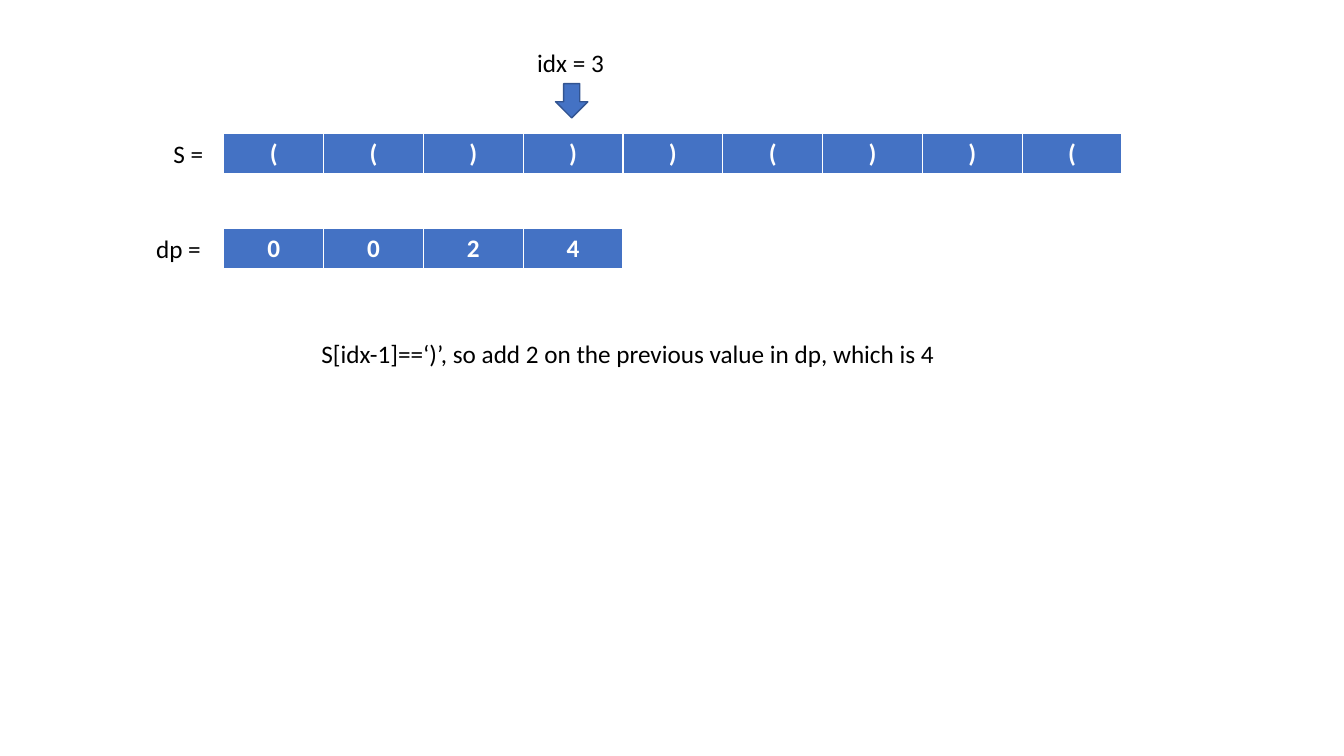
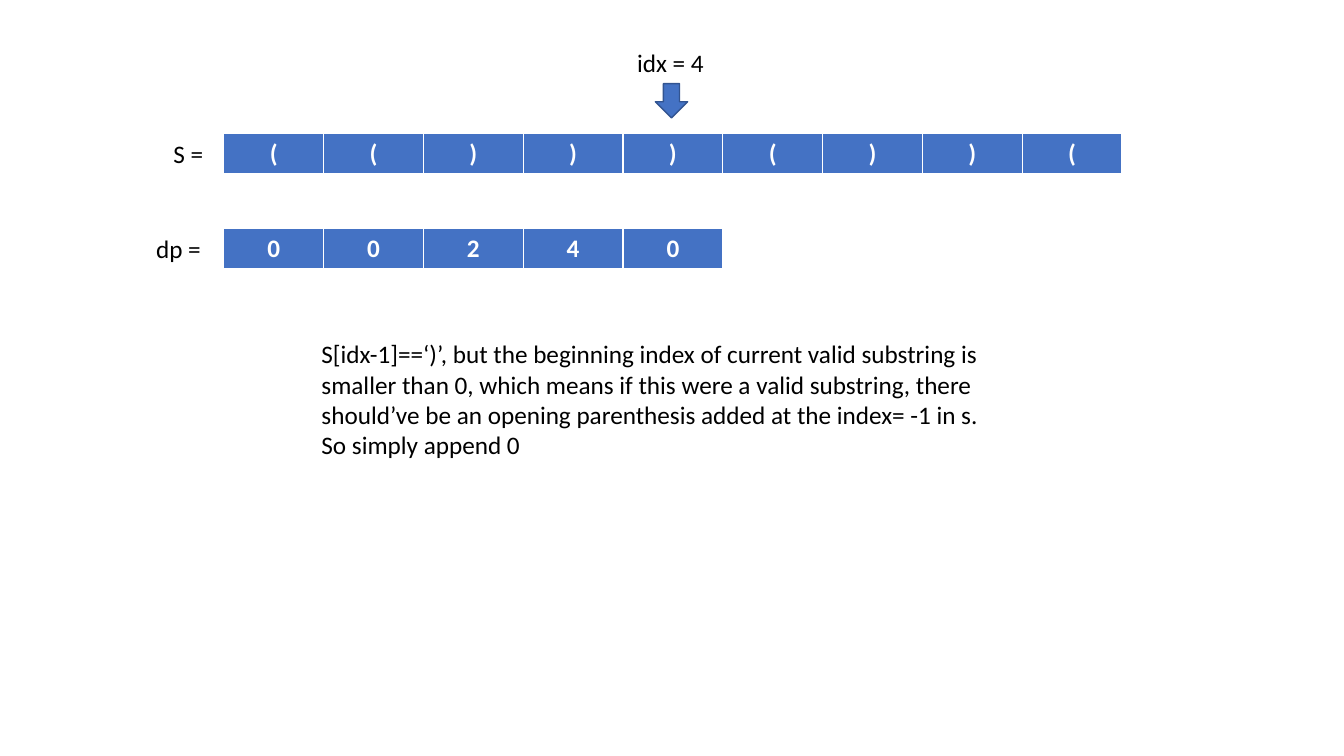
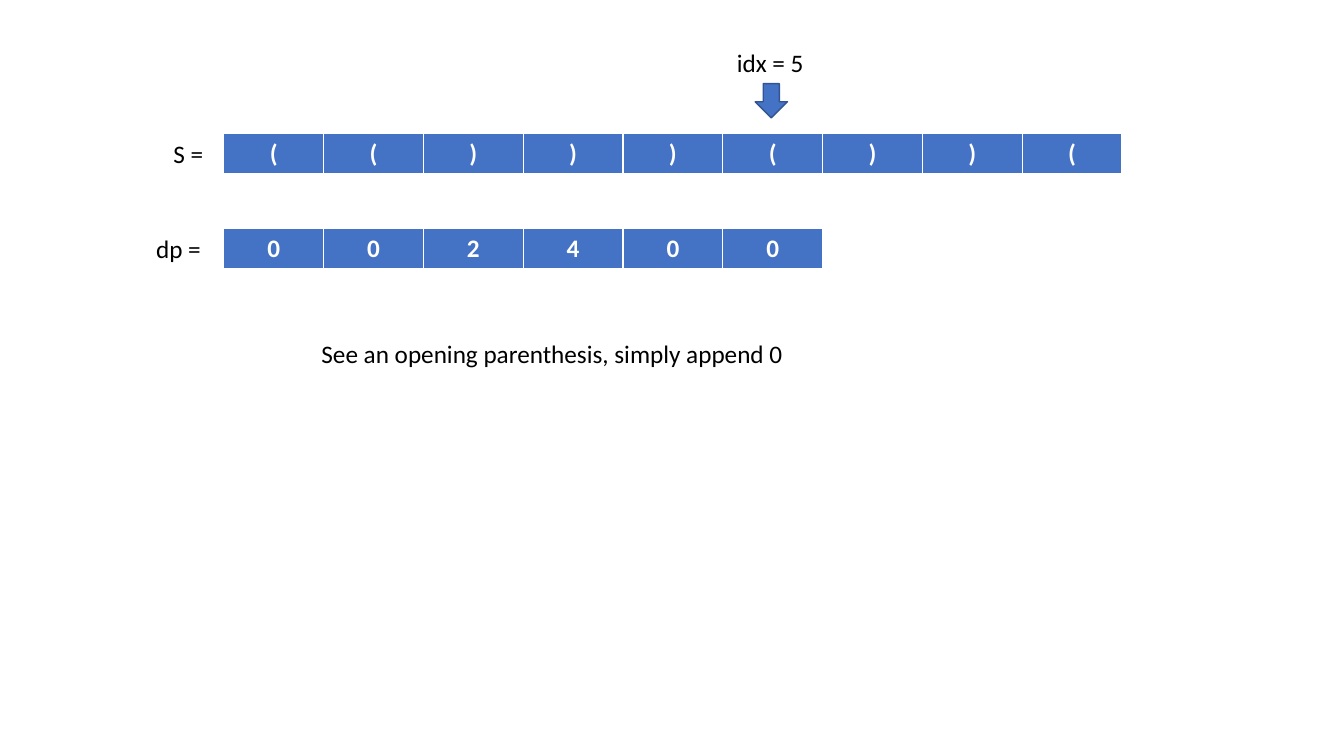
"""Builds three steps of the longest valid parentheses walkthrough."""
from dataclasses import dataclass

from lxml import etree
from pptx import Presentation, util as u
from pptx.dml.color import RGBColor
from pptx.enum import shapes, text
from pptx.oxml.ns import qn

S = "(()))())("
DP = [0, 0, 2, 4, 0, 0]
STEPS = [
    (3, "S[idx-1]==‘)’, so add 2 on the previous value in dp, which is 4", 0.4),
    (4, "S[idx-1]==‘)’, but the beginning index of current valid substring is "
        "smaller than 0, which means if this were a valid substring, there "
        "should’ve be an opening parenthesis added at the index= -1 in s. "
        "So simply append 0", 1.31),
    (5, "See an opening parenthesis, simply append 0", 0.4),
]
ROW_LEFT, S_TOP, DP_TOP = 2.22, 1.32, 2.27
CELL_W, CELL_H = 0.99, 0.41
BORDERS = {"a:lnL": 1, "a:lnR": 1, "a:lnT": 1, "a:lnB": 3}


@dataclass(frozen=True)
class Theme:
    font: str = "Calibri"
    size: int = 18
    fill: str = "4472C4"
    outline: str = "325491"
    ink: str = "000000"
    paper: str = "FFFFFF"


T = Theme()


def rgb(code):
    return RGBColor.from_string(code)


def box(*lengths):
    return [u.Inches(n) for n in lengths]


def add_run(p, content, color, bold=False):
    r = p.add_run()
    r.text = content
    r.font.name, r.font.size, r.font.bold = T.font, u.Pt(T.size), bold
    r.font.color.rgb = rgb(color)


def add_text(parent, content, *at):
    tf = parent.add_textbox(*box(*at)).text_frame
    tf.word_wrap = True
    tf.auto_size = text.MSO_AUTO_SIZE.SHAPE_TO_FIT_TEXT
    add_run(tf.paragraphs[0], content, T.ink)


def style_cell(cell):
    tc_pr = cell._tc.get_or_add_tcPr()
    for tag, width in BORDERS.items():
        ln = etree.SubElement(tc_pr, qn(tag), w=str(u.Pt(width)))
        solid = etree.SubElement(ln, qn("a:solidFill"))
        etree.SubElement(solid, qn("a:srgbClr"), val=T.paper)
    cell.fill.solid()
    cell.fill.fore_color.rgb = rgb(T.fill)


def add_array(s, values, top):
    at = box(ROW_LEFT, top, CELL_W * len(values), CELL_H)
    table = s.shapes.add_table(1, len(values), *at).table
    for i, value in enumerate(values):
        table.columns[i].width = u.Inches(CELL_W)
        cell = table.cell(0, i)
        style_cell(cell)
        p = cell.text_frame.paragraphs[0]
        p.alignment = text.PP_ALIGN.CENTER
        add_run(p, str(value), T.paper, bold=True)


def add_pointer(s, idx):
    left = ROW_LEFT + idx * CELL_W
    group = s.shapes.add_group_shape().shapes
    arrow = group.add_shape(shapes.MSO_SHAPE.DOWN_ARROW,
                            *box(left + 0.32, 0.83, 0.32, 0.34))
    arrow.shadow.inherit = False
    arrow.fill.solid()
    arrow.fill.fore_color.rgb = rgb(T.fill)
    arrow.line.color.rgb = rgb(T.outline)
    arrow.line.width = u.Pt(1)
    add_text(group, f"idx = {idx}", left + 0.04, 0.42, 0.89, 0.4)


def main():
    prs = Presentation()
    prs.slide_width, prs.slide_height = box(13.33, 7.5)
    for idx, note, note_h in STEPS:
        s = prs.slides.add_slide(prs.slide_layouts[6])
        add_array(s, S, S_TOP)
        add_text(s.shapes, "S =", 1.62, S_TOP, 0.61, 0.4)
        add_text(s.shapes, "dp =", 1.45, DP_TOP, 1.17, 0.4)
        add_pointer(s, idx)
        add_array(s, DP[:idx + 1], DP_TOP)
        add_text(s.shapes, note, 3.09, 3.31, 7, note_h)
    prs.save("out.pptx")


if __name__ == "__main__":
    main()
